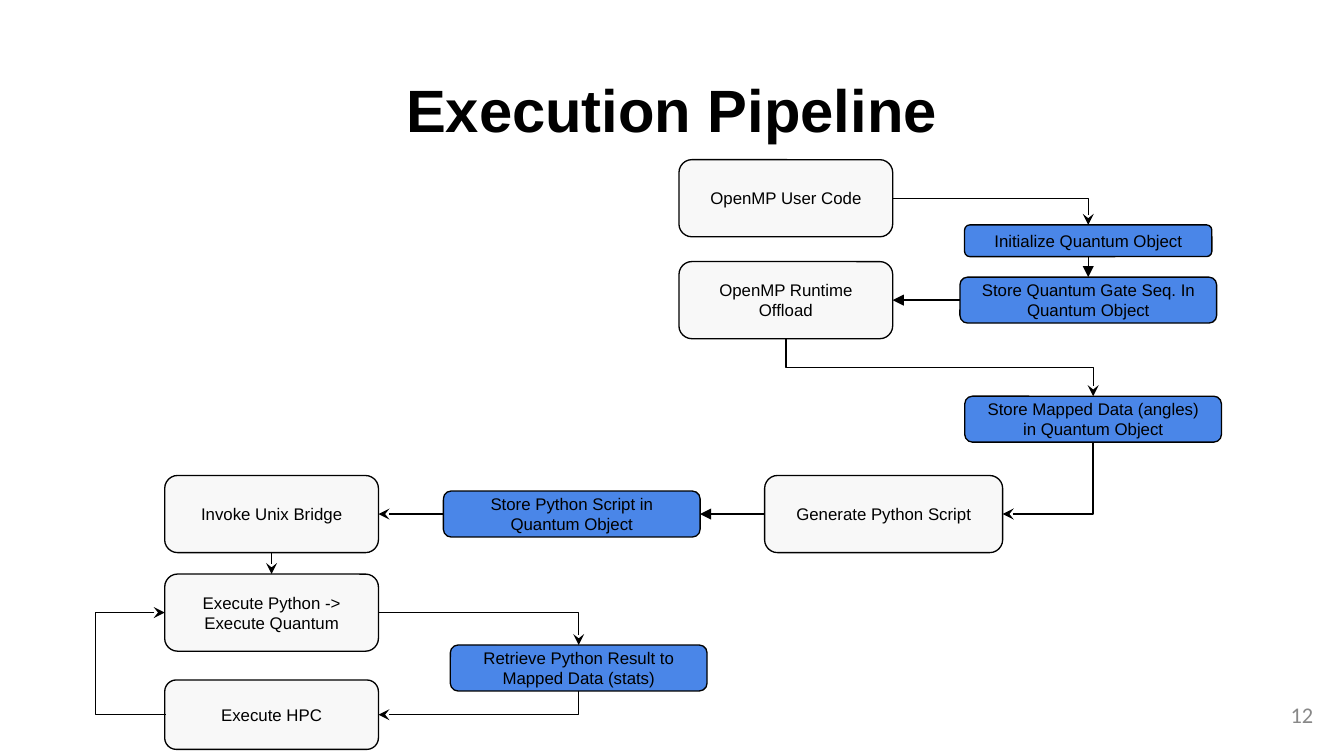
from lxml.etree import SubElement
from pptx import Presentation
from pptx.dml.color import RGBColor
from pptx.enum.shapes import MSO_CONNECTOR, MSO_SHAPE
from pptx.enum.text import MSO_ANCHOR, PP_ALIGN
from pptx.oxml.ns import qn
from pptx.util import Pt

THEME = {
    "step": "F8F8F8", "data": "4A86E8", "ink": "000000", "mute": "888888",
    "font": "Arial", "num_font": "Calibri",
    "title": 32, "body": 9, "num": 12, "line": 0.72,
}
SIZE = (720, 405)
TITLE = ("Execution Pipeline", (24.5, 35.3, 671, 45.4))
NUMBER = ("12", (667.4, 367.2, 43.2, 31))

STEP, DATA = (114.5, 41.3), (137.5, 24.6)
# name: (text, kind, centre x, centre y, (width, height))
BOXES = {
    "user": ("OpenMP User Code", "step", 421, 106.2, STEP),
    "init": ("Initialize Quantum Object", "data", 583, 129, (132.5, 17)),
    "gates": ("Store Quantum Gate Seq. In Quantum Object", "data", 583, 160.8, DATA),
    "offload": ("OpenMP Runtime Offload", "step", 421, 160.8, STEP),
    "mapped": ("Store Mapped Data (angles) in Quantum Object", "data", 585.6, 224.6, DATA),
    "script": ("Generate Python Script", "step", 473.4, 275.4, (127.5, 41.3)),
    "store": ("Store Python Script in Quantum Object", "data", 306.3, 275.4, DATA),
    "bridge": ("Invoke Unix Bridge", "step", 145.5, 275.4, STEP),
    "run": ("Execute Python -> Execute Quantum", "step", 145.5, 328.2, STEP),
    "result": ("Retrieve Python Result to Mapped Data (stats)", "data", 310, 357.9, DATA),
    "hpc": ("Execute HPC", "step", 145.5, 382.9, (114.5, 37.2)),
}
# from, side, to, side, route, arrowhead
LINKS = [
    ("user", "right", "init", "top", "over", "stealth"),
    ("init", "bottom", "gates", "top", "straight", "triangle"),
    ("gates", "left", "offload", "right", "straight", "triangle"),
    ("offload", "bottom", "mapped", "top", "step", "stealth"),
    ("mapped", "bottom", "script", "right", "drop", "stealth"),
    ("script", "left", "store", "right", "straight", "triangle"),
    ("store", "left", "bridge", "right", "straight", "stealth"),
    ("bridge", "bottom", "run", "top", "straight", "stealth"),
    ("run", "right", "result", "top", "over", "stealth"),
    ("result", "bottom", "hpc", "right", "drop", "stealth"),
    ("run", "left", "hpc", "left", "loop", "stealth"),
]
# route: (preset shape, attributes of the transform)
ROUTES = {
    "over": ("bentConnector2", {}),
    "drop": ("bentConnector2", {"rot": "5400000"}),
    "step": ("bentConnector3", {"rot": "16200000", "flipH": "1"}),
    "loop": ("bentConnector3", {}),
}
LOOP_OUT, LOOP_W = 36.2, 0.5
SIDES = {"left": (-0.5, 0), "right": (0.5, 0), "top": (0, -0.5), "bottom": (0, 0.5)}


def color(key):
    return RGBColor.from_string(THEME[key])


def place(shape, box):
    for key, val in zip(("left", "top", "width", "height"), box):
        setattr(shape, key, Pt(val))


def write(shape, text, size, align=PP_ALIGN.CENTER, font="font", ink="ink", bold=False, pad=7.2):
    frame = shape.text_frame
    form = {"word_wrap": True, "vertical_anchor": MSO_ANCHOR.MIDDLE,
            "margin_left": Pt(7.2), "margin_right": Pt(7.2),
            "margin_top": Pt(pad), "margin_bottom": Pt(pad)}
    for key, val in form.items():
        setattr(frame, key, val)
    para = frame.paragraphs[0]
    para.alignment = align
    run = para.add_run()
    run.text = text
    for key, val in {"name": THEME[font], "size": Pt(THEME[size]), "bold": bold}.items():
        setattr(run.font, key, val)
    run.font.color.rgb = color(ink)


def outline(shape):
    shape.line.color.rgb = color("ink")
    shape.line.width = Pt(THEME["line"])


def draw_box(slide, text, kind, mid_x, mid_y, size):
    wide, high = size
    shape = slide.shapes.add_shape(MSO_SHAPE.ROUNDED_RECTANGLE, 0, 0, 0, 0)
    place(shape, (mid_x - wide / 2, mid_y - high / 2, wide, high))
    shape.shadow.inherit = False
    shape.fill.solid()
    shape.fill.fore_color.rgb = color(kind)
    outline(shape)
    write(shape, text, "body")


def port(name, side):
    """Midpoint of one side of a box."""
    _, _, mid_x, mid_y, (wide, high) = BOXES[name]
    step_x, step_y = SIDES[side]
    return mid_x + step_x * wide, mid_y + step_y * high


def bend(link, route, start, end):
    """Give an elbow its preset, turn and bend point."""
    preset, turn = ROUTES[route]
    props = link._element.spPr
    geom = props.find(qn("a:prstGeom"))
    geom.set("prst", preset)
    if route == "loop":
        guide = SubElement(geom.find(qn("a:avLst")), qn("a:gd"))
        guide.set("name", "adj1")
        guide.set("fmla", f"val {round(-LOOP_OUT / LOOP_W * 100000)}")
    if turn:
        wide, high = abs(end[0] - start[0]), abs(end[1] - start[1])
        mid_x, mid_y = (start[0] + end[0]) / 2, (start[1] + end[1]) / 2
        place(link, (mid_x - high / 2, mid_y - wide / 2, high, wide))
        form = props.find(qn("a:xfrm"))
        for key in ("flipH", "flipV"):
            form.attrib.pop(key, None)
        for key, val in turn.items():
            form.set(key, val)


def draw_link(slide, source, side, target, into, route, head):
    start, end = port(source, side), port(target, into)
    if route == "loop":
        end = (end[0] + LOOP_W, end[1])
    kind = MSO_CONNECTOR.STRAIGHT if route == "straight" else MSO_CONNECTOR.ELBOW
    link = slide.shapes.add_connector(kind, *map(Pt, start + end))
    outline(link)
    if route != "straight":
        bend(link, route, start, end)
    tip = "a:headEnd" if route == "loop" else "a:tailEnd"
    SubElement(link.line._get_or_add_ln(), qn(tip)).set("type", head)
    SubElement(link._element.spPr, qn("a:effectLst"))


def main():
    deck = Presentation()
    deck.slide_width, deck.slide_height = map(Pt, SIZE)
    slide = deck.slides.add_slide(deck.slide_layouts[5])
    text, box = TITLE
    place(slide.shapes.title, box)
    write(slide.shapes.title, text, "title", bold=True)
    for item in BOXES.values():
        draw_box(slide, *item)
    for item in LINKS:
        draw_link(slide, *item)
    text, box = NUMBER
    note = slide.shapes.add_textbox(*map(Pt, box))
    write(note, text, "num", PP_ALIGN.RIGHT, "num_font", "mute", pad=3.6)
    deck.save("out.pptx")


if __name__ == "__main__":
    main()
